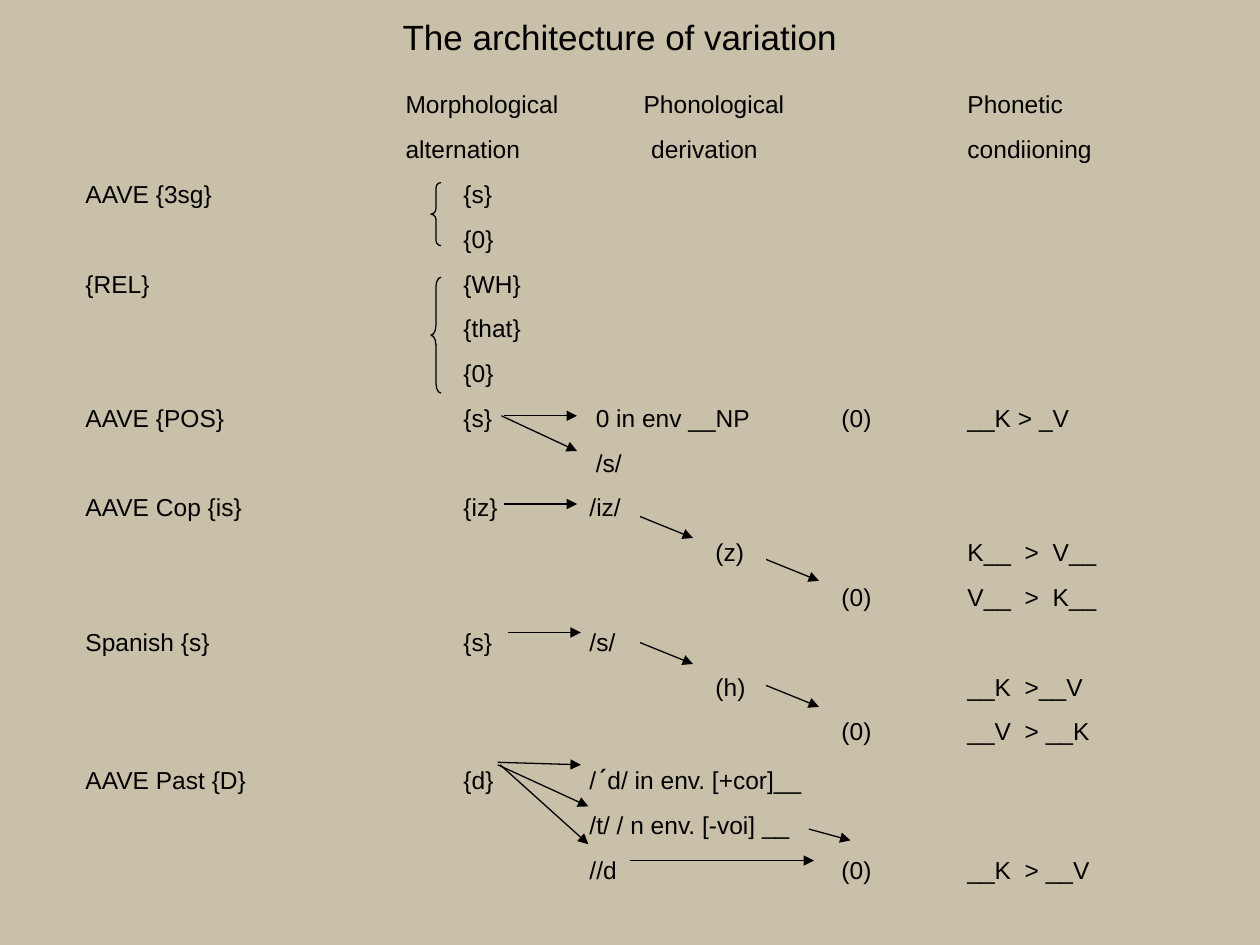
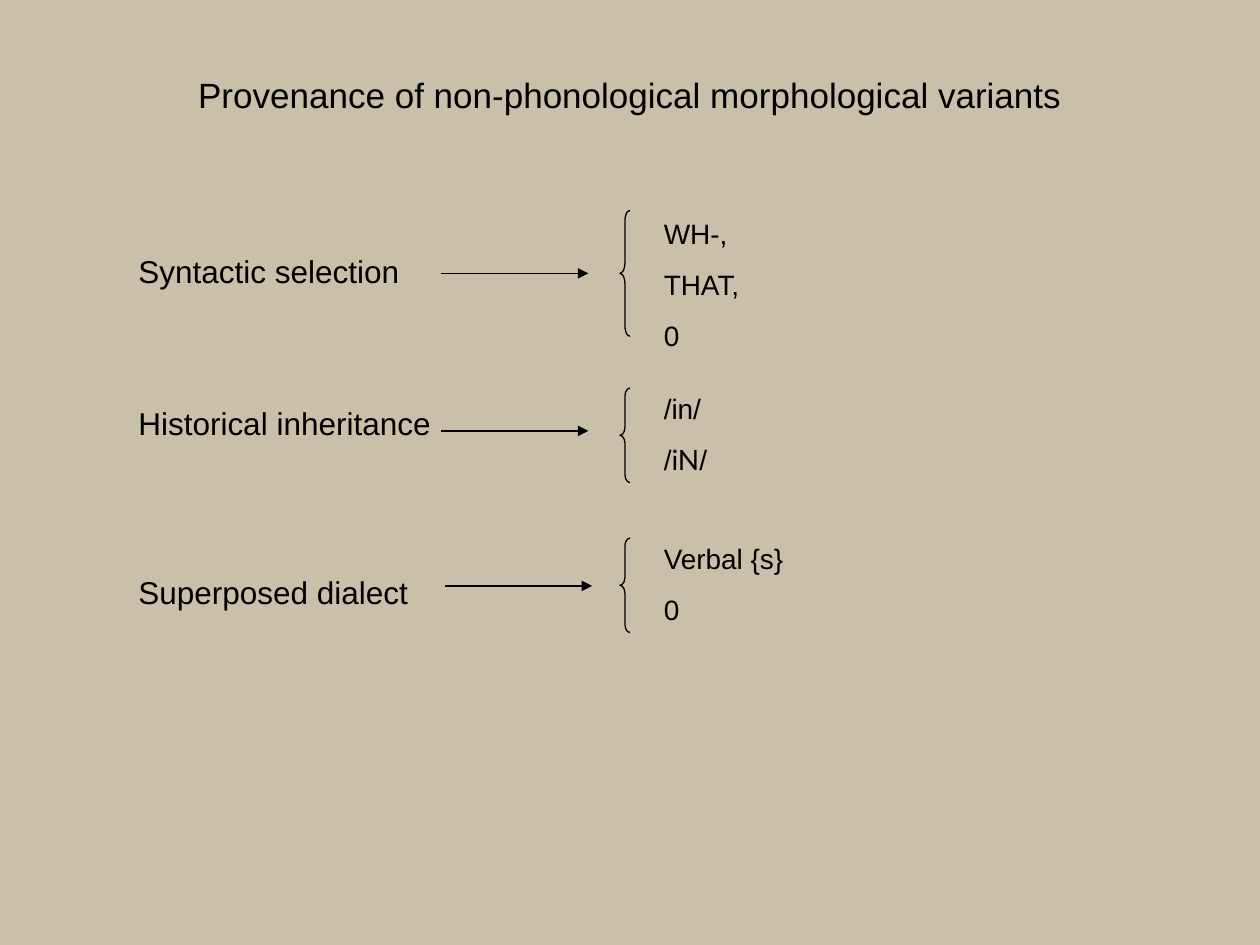
from pptx import Presentation
from pptx.dml.color import RGBColor
from pptx.enum.shapes import MSO_CONNECTOR, MSO_SHAPE
from pptx.enum.text import MSO_ANCHOR, PP_ALIGN
from pptx.oxml.ns import qn
from pptx.util import Inches, Pt
from lxml.etree import SubElement

SAND = RGBColor(0xC9, 0xC0, 0xAA)
BLACK = RGBColor(0, 0, 0)


def put(item, form):
    for name, value in form.items():
        setattr(item, name, value)


class Deck:
    main = {"name": "Arial"}
    sound = {"name": "Lato", "size": Pt(16)}
    thin = {"width": Pt(0.75)}

    def __init__(self):
        self.prs = Presentation()
        put(self.prs, {"slide_width": Inches(10), "slide_height": Inches(7.5)})
        fill = self.prs.slide_master.background.fill
        fill.solid()
        fill.fore_color.rgb = SAND

    def page(self, title, left, top, height):
        self.slide = self.prs.slides.add_slide(self.prs.slide_layouts[6])
        box = self.text([title], (left, top, 8.5, height), 20)
        box.vertical_anchor = MSO_ANCHOR.MIDDLE
        box.paragraphs[0].alignment = PP_ALIGN.CENTER

    def text(self, lines, area, size, gap=0):
        box = self.slide.shapes.add_textbox(*map(Inches, area)).text_frame
        box.word_wrap = True
        for num, line in enumerate(lines):
            para = box.add_paragraph() if num else box.paragraphs[0]
            para.space_before = Pt(gap if num else 0)
            cells = {0: line} if isinstance(line, str) else line
            self.tabs(para, [stop for stop in cells if stop])
            words = "".join(("\t" if stop else "") + cell for stop, cell in cells.items())
            for part, word in enumerate(words.split("|")):
                run = para.add_run()
                run.text = word
                put(run.font, {"size": Pt(size), **(self.sound if part % 2 else self.main)})
                run.font.color.rgb = BLACK
        return box

    def tabs(self, para, stops):
        if stops:
            tabs = SubElement(para._p.get_or_add_pPr(), qn("a:tabLst"))
            for stop in stops:
                SubElement(tabs, qn("a:tab"), pos=str(Inches(stop)), algn="l")

    def brace(self, left, top, height):
        width = 0.08
        area = map(Inches, (left, top, width, height))
        brace = self.slide.shapes.add_shape(MSO_SHAPE.LEFT_BRACE, *area)
        brace.adjustments[0] = height / width / 12
        brace.shadow.inherit = False
        brace.fill.background()
        self.ink(brace.line)

    def arrow(self, *ends):
        link = self.slide.shapes.add_connector(MSO_CONNECTOR.STRAIGHT, *map(Inches, ends))
        self.ink(link.line)
        props = link._element.spPr
        SubElement(props.find(qn("a:ln")), qn("a:tailEnd"), type="triangle")
        SubElement(props, qn("a:effectLst"))

    def ink(self, line):
        line.color.rgb = BLACK
        put(line, self.thin)


ROWS = [
    {2.54: "Morphological", 4.43: "Phonological", 7: "Phonetic"},
    {2.54: "alternation", 4.49: "derivation", 7: "condiioning"},
    {0: "AAVE {3sg}", 3: "{s}"},
    {3: "{0}"},
    {0: "{REL}", 3: "{WH}"},
    {3: "{that}"},
    {3: "{0}"},
    {0: "AAVE {POS}", 3: "{s}", 4.05: "0 in env __NP", 6: "(0)", 7: "__K > _V"},
    {4.05: "/s/"},
    {0: "AAVE Cop {is}", 3: "{iz}", 4: "/iz/"},
    {5: "(z)", 7: "K__  >  V__"},
    {6: "(0)", 7: "V__  >  K__"},
    {0: "Spanish {s}", 3: "{s}", 4: "/s/"},
    {5: "(h)", 7: "__K  >__V"},
    {6: "(0)", 7: "__V  > __K"},
    {0: "AAVE Past {D}", 3: "{d}", 4: "/|´|d/ in env. [+cor]__"},
    {4: "/t/ / n env. [-voi] __"},
    {4: "//d", 6: "(0)", 7: "__K  > __V"},
]

ARROWS = [
    (6.42, 6.58, 6.75, 6.67),
    (5, 6.83, 6.46, 6.83),
    (3.95, 6.05, 4.61, 6.07),
    (3.95, 6.07, 4.67, 6.4),
    (3.97, 6.07, 4.67, 6.7),
    (4, 3.3, 4.58, 3.3),
    (3.98, 3.3, 4.58, 3.58),
    (4, 4, 4.58, 4),
    (4.03, 5.02, 4.61, 5.02),
]

SOURCES = [
    ("Syntactic selection", 1.95, ["WH-,", "THAT,", "0"], 1.67, (1.67, 1), (3.5, 2.17)),
    ("Historical inheritance", 3.16, ["/in/", "/|iN|/"], 3.06, (3.08, 0.75), (3.5, 3.42)),
    ("Superposed dialect", 4.5, ["Verbal {s}", "0"], 4.25, (4.27, 0.75), (3.53, 4.65)),
]


def main():
    deck = Deck()
    deck.page("The architecture of variation", 0.67, 0.08, 0.42)
    deck.text(ROWS, (0.58, 0.66, 9.08, 6.41), 14, 8.8)
    deck.brace(3.42, 1.45, 0.5)
    deck.brace(3.42, 2.2, 0.92)
    for top in (4.1, 5.1):
        for step in (0, 1):
            left, start = 5.08 + step, top + step * 0.34
            deck.arrow(left, start, left + 0.42, start + 0.17)
    for ends in ARROWS:
        deck.arrow(*ends)

    deck.page("Provenance of non-phonological morphological variants", 0.75, 0.5, 0.5)
    for source, top, forms, high, brace, (left, level) in SOURCES:
        deck.text([source], (1, top, 2.6, 0.4), 18)
        deck.text(forms, (5.17, high, 1.83, 0.39 * len(forms)), 16, 10)
        deck.brace(4.92, *brace)
        deck.arrow(left, level, left + 1.17, level)
    deck.prs.save("out.pptx")


if __name__ == "__main__":
    main()
